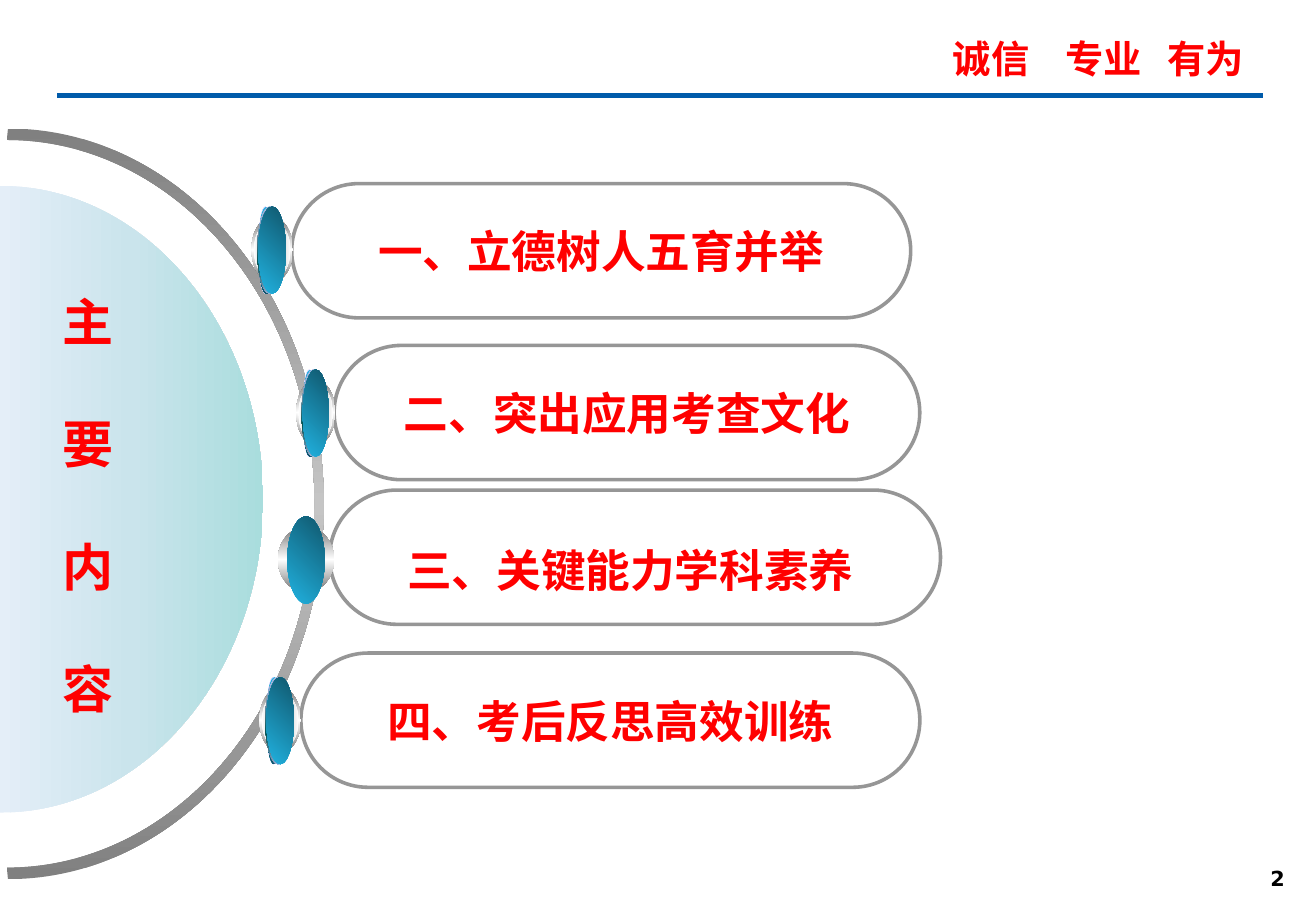
from dataclasses import dataclass

from lxml import etree
from pptx import Presentation
from pptx.dml.color import RGBColor
from pptx.enum.shapes import MSO_CONNECTOR, MSO_SHAPE
from pptx.enum.text import MSO_ANCHOR, PP_ALIGN
from pptx.oxml.ns import qn
from pptx.util import Inches, Pt

ELLIPSE, PILL = MSO_SHAPE.OVAL, MSO_SHAPE.ROUNDED_RECTANGLE
STRAIGHT = MSO_CONNECTOR.STRAIGHT
TOP, MIDDLE = MSO_ANCHOR.TOP, MSO_ANCHOR.MIDDLE
LEFT, CENTER = PP_ALIGN.LEFT, PP_ALIGN.CENTER


@dataclass(frozen=True)
class Theme:
    red: str = "FF0000"
    black: str = "000000"
    rule: str = "005BAA"
    outline: str = "969696"
    disc: tuple = ("E4EEF8", "CAE4EC", "A9DDDD")
    arc: tuple = ("808080", "C5C5C5", "808080")
    halo: tuple = ("767676", "FFFFFF", "767676")
    ring: tuple = ("FFFFFF", "A2A2A2", "FFFFFF")
    glint: tuple = ("CCCCFF", "FFFFFF", "CCCCFF")
    core: tuple = ("21B3E1", "0F5368")
    shade: tuple = ("CCCCFF", "005353", "CCCCFF")
    ball: tuple = ("21B3E1", "10576D")
    serif: str = "Times New Roman"
    sans: str = "Noto Sans CJK SC"
    number_font: str = "DejaVu Sans"
    title_size: float = 32
    item_size: float = 28
    header_size: float = 24
    number_size: float = 13


@dataclass(frozen=True)
class Layer:
    dx: float
    dy: float
    width: float
    height: float
    colors: tuple
    angle: int


@dataclass(frozen=True)
class Item:
    text: str
    left: float
    top: float
    width: float
    knob_left: float
    knob_top: float
    knob_width: float
    layers: tuple
    drop: float = 0
    shift: float = 0


T = Theme()
HALO = Layer(0, 0, 0.36, 0.57, T.halo, 90)
BALL = Layer(0.06, -0.09, 0.24, 0.76, T.ball, 315)
KNOB = (
    HALO,
    Layer(0.02, 0.04, 0.32, 0.5, T.ring, 0),
    Layer(0.06, -0.09, 0.12, 0.76, T.glint, 315),
    Layer(0.06, -0.09, 0.14, 0.76, T.core, 90),
    Layer(0.05, -0.09, 0.22, 0.76, T.shade, 45),
    BALL,
)
ITEMS = (
    Item("一、立德树人五育并举", 2.54, 1.6, 5.39, 2.19, 1.89, 0.36, KNOB),
    Item("二、突出应用考查文化", 2.91, 3.01, 5.1, 2.58, 3.31, 0.34, KNOB),
    Item("三、关键能力学科素养", 2.87, 4.27, 5.32, 2.42, 4.59, 0.49, (HALO, BALL), 0.21, 0.08),
    Item("四、考后反思高效训练", 2.62, 5.69, 5.39, 2.26, 5.99, 0.36, KNOB),
)
PILL_HEIGHT = 1.17
ROUNDNESS = 0.5523


def rgb(color: str) -> RGBColor:
    return RGBColor.from_string(color)


def paint(sp, colors: tuple, angle: int) -> None:
    sp.shadow.inherit = False
    sp.line.fill.background()
    sp.fill.gradient()
    sp.fill.gradient_angle = (360 - angle) % 360
    stops = sp._element.spPr.find(qn("a:gradFill")).find(qn("a:gsLst"))
    for stop in list(stops):
        stops.remove(stop)
    for i, color in enumerate(colors):
        pos = str(100000 * i // (len(colors) - 1))
        stop = etree.SubElement(stops, qn("a:gs"), pos=pos)
        etree.SubElement(stop, qn("a:srgbClr"), val=color)


def format_text(tf, font: str, size: float, color: str, align) -> None:
    for p in tf.paragraphs:
        p.alignment = align
        for r in p.runs:
            r.font.name, r.font.size, r.font.bold = font, Pt(size), True
            r.font.color.rgb = rgb(color)
            etree.SubElement(r._r.get_or_add_rPr(), qn("a:ea"), typeface=T.sans)


def add_label(s, text: str, box: tuple, font: str, size: float, color: str, align):
    tf = s.shapes.add_textbox(*map(Inches, box)).text_frame
    tf.word_wrap = True
    tf.text = text
    format_text(tf, font, size, color, align)
    return tf


def half_ellipse(cx: float, cy: float, rx: float, ry: float) -> list:
    k = ROUNDNESS
    unit = ((0, -1), (k, -1), (1, -k), (1, 0), (1, k), (k, 1), (0, 1))
    return [(1000 * (cx + rx * x), 1000 * (cy + ry * y)) for x, y in unit]


def add_outline(s, points: list, segments: str, colors: tuple, angle: int) -> None:
    builder = s.shapes.build_freeform(*points[0], scale=Inches(1) / 1000)
    builder.add_line_segments(points[1:], close=True)
    sp = builder.convert_to_shape()
    lines = iter(list(sp._element.iter(qn("a:lnTo"))))
    for segment in segments:
        first = next(lines)
        if segment == "C":
            first.tag = qn("a:cubicBezTo")
            for _ in range(2):
                line = next(lines)
                first.append(line[0])
                line.getparent().remove(line)
    paint(sp, colors, angle)


def add_header(s) -> None:
    rule = s.shapes.add_connector(
        STRAIGHT, Inches(0.5), Inches(0.83), Inches(11), Inches(0.83))
    rule.line.color.rgb = rgb(T.rule)
    rule.line.width = Pt(3)
    etree.SubElement(rule._element.spPr, qn("a:effectLst"))
    tf = add_label(s, "诚信\t专业\t有为", (8.2, 0.26, 2.85, 0.5),
                   T.serif, T.header_size, T.red, LEFT)
    tabs = etree.SubElement(tf.paragraphs[0]._p.get_or_add_pPr(), qn("a:tabLst"))
    for stop in (0.98, 1.87):
        etree.SubElement(tabs, qn("a:tab"), pos=str(Inches(stop)), algn="l")


def add_title(s) -> None:
    sp = s.shapes.title
    s.shapes._spTree.append(sp._element)
    sp.left, sp.top, sp.width, sp.height = map(Inches, (0.44, 1.95, 1.08, 4.4))
    tf = sp.text_frame
    tf.text = "主\n要\n内\n容"
    tf.vertical_anchor = TOP
    format_text(tf, T.serif, T.title_size, T.red, LEFT)
    for p in tf.paragraphs:
        p.line_spacing = Pt(76.7)
        p.space_before = Pt(0)


def add_item(s, item: Item) -> None:
    scale = item.knob_width / HALO.width
    sp = s.shapes.add_shape(PILL, *map(
        Inches, (item.left, item.top, item.width, PILL_HEIGHT)))
    sp.adjustments[0] = 0.5
    sp.shadow.inherit = False
    sp.fill.background()
    sp.line.color.rgb = rgb(T.outline)
    sp.line.width = Pt(2.25)
    tf = sp.text_frame
    tf.word_wrap = False
    tf.vertical_anchor = MIDDLE
    tf.margin_top = Inches(0.05 + item.drop)
    tf.margin_right = Inches(0.1 + item.shift)
    tf.text = item.text
    format_text(tf, T.sans, T.item_size, T.red, CENTER)
    for layer in item.layers:
        left = item.knob_left + layer.dx * scale
        oval = s.shapes.add_shape(ELLIPSE, *map(Inches, (
            left, item.knob_top + layer.dy, layer.width * scale, layer.height)))
        paint(oval, layer.colors, layer.angle)


def main() -> None:
    prs = Presentation()
    prs.slide_width, prs.slide_height = Inches(11.46), Inches(7.92)
    s = prs.slides.add_slide(prs.slide_layouts[5])
    add_header(s)
    add_outline(s, half_ellipse(0, 4.35, 2.29, 2.73), "CC", T.disc, 0)
    outer = half_ellipse(0.07, 4.39, 2.75, 3.27)
    inner = half_ellipse(0.06, 4.39, 2.68, 3.17)
    add_outline(s, outer + inner[::-1], "CCLCC", T.arc, 90)
    add_title(s)
    for item in ITEMS:
        add_item(s, item)
    add_label(s, "2", (10.79, 7.49, 0.67, 0.35),
              T.number_font, T.number_size, T.black, CENTER)
    prs.save("out.pptx")


if __name__ == "__main__":
    main()
